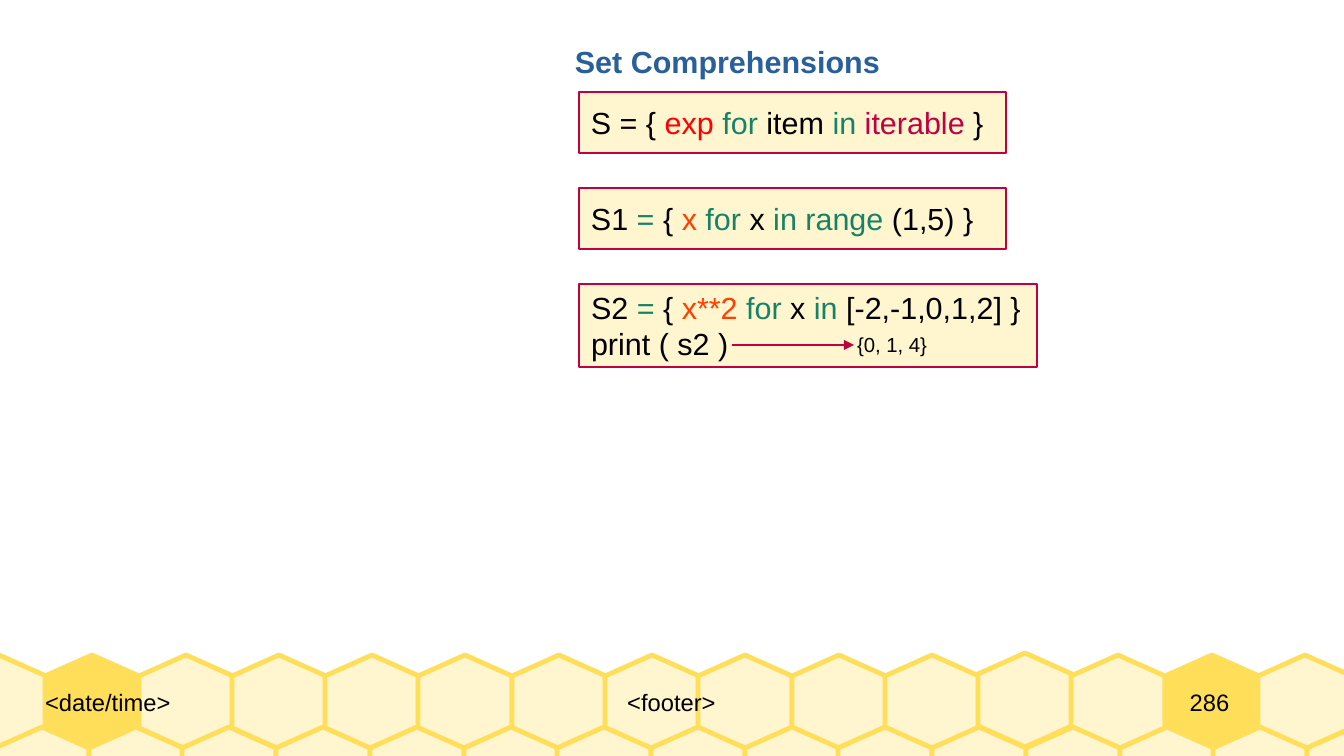
from lxml.etree import SubElement
from pptx import Presentation
from pptx.dml.color import RGBColor
from pptx.enum.shapes import MSO_CONNECTOR, MSO_SHAPE
from pptx.enum.text import MSO_ANCHOR, PP_ALIGN
from pptx.oxml.ns import qn
from pptx.util import Pt

# Content: each code line is a list of (text, colour role) runs
TITLE = "Set Comprehensions"
EXAMPLES = [
    {"width": 427, "height": 61, "lines": [
        [("S = { ", "text"), ("exp ", "exp"), ("for", "keyword"), (" item ", "text"),
         ("in ", "keyword"), ("iterable", "accent"), (" }", "text")]]},
    {"width": 427, "height": 61, "lines": [
        [("S1", "text"), (" = ", "keyword"), ("{ ", "text"), ("x", "value"),
         (" for", "keyword"), (" x ", "text"), ("in range", "keyword"),
         (" (1,5) }", "text")]]},
    {"width": 458, "height": 83, "lines": [
        [("S2", "text"), (" = ", "keyword"), ("{ ", "text"), ("x**2", "value"),
         (" for", "keyword"), (" x ", "text"), ("in ", "keyword"),
         ("[-2,-1,0,1,2] }", "text")],
        [("print ( s2 )", "text")]]},
]
RESULT = "{0, 1, 4}"
FOOTER = [
    ("<date/time>", 45, 321, PP_ALIGN.LEFT),
    ("<footer>", 366, 611, PP_ALIGN.CENTER),
    ("286", 1133, 153, PP_ALIGN.CENTER),
]

THEME = {
    "font": "Arial",
    "sizes": {"title": 18, "code": 18, "result": 12, "footer": 14},
    "lines": {"box": 1.42, "cell": 2.83},
    "colors": {"text": "000000", "title": "2A6099", "exp": "FF0000",
               "keyword": "158466", "accent": "BF0041", "value": "FF4000",
               "cream": "FFF5CE", "honey": "FFDE59"},
}

# Layout in px
PX = 914400 / 122
SLIDE = (1344, 756)
CELL = 94
SHOULDER = 21
CELLS_PER_ROW = 15
COMB_ROWS = [  # first left, last left, top, filled cells, raised cells
    (-48, 1258, 655, {1, 13}, {11}),
    (-5, 1307, 727, set(), set()),
]
RAISE = 2
BOX_LEFT, BOX_TOP, BOX_STEP = 579, 92, 96
ARROW = (732, 345, 854, 345)
PADDED = {"margin_left": 12, "margin_top": 6, "margin_right": 0, "margin_bottom": 6}
FLUSH = dict.fromkeys(PADDED, 0)


def emu(*lengths):
    return [round(length * PX) for length in lengths]


def color(role):
    return RGBColor.from_string(THEME["colors"][role])


def outline(line, role, weight):
    line.color.rgb = color(role)
    line.width = Pt(THEME["lines"][weight])


def paint(shape, fill, line, weight):
    shape.shadow.inherit = False
    shape.fill.solid()
    shape.fill.fore_color.rgb = color(fill)
    outline(shape.line, line, weight)


def write(shape, lines, size, margins=PADDED, anchor=MSO_ANCHOR.MIDDLE,
          align=PP_ALIGN.LEFT, bold=False):
    """Fill a shape with lines of (text, colour role) runs."""
    frame = shape.text_frame
    frame.word_wrap = True
    frame.vertical_anchor = anchor
    for side, length in margins.items():
        setattr(frame, side, emu(length)[0])
    font_format = {"name": THEME["font"], "size": Pt(THEME["sizes"][size]), "bold": bold}
    for index, runs in enumerate(lines):
        paragraph = frame.add_paragraph() if index else frame.paragraphs[0]
        paragraph.alignment = align
        for text, role in runs:
            run = paragraph.add_run()
            run.text = text
            for name, value in font_format.items():
                setattr(run.font, name, value)
            run.font.color.rgb = color(role)


def add_label(shapes, area, text, size, role="text", **options):
    write(shapes.add_textbox(*emu(*area)), [[(text, role)]], size, **options)


def add_cell(shapes, left, top, fill):
    """Draw one honeycomb hexagon with its point upwards."""
    middle, right = left + CELL // 2, left + CELL
    upper, lower, bottom = top + SHOULDER, top + CELL - SHOULDER, top + CELL
    builder = shapes.build_freeform(middle, top, scale=PX)
    builder.add_line_segments([(left, upper), (left, lower), (middle, bottom),
                               (right, lower), (right, upper)], close=True)
    paint(builder.convert_to_shape(), fill, "honey", "cell")


def add_honeycomb(shapes):
    for first, last, top, filled, raised in COMB_ROWS:
        for index in range(CELLS_PER_ROW):
            left = first + round((last - first) * index / (CELLS_PER_ROW - 1))
            add_cell(shapes, left, top - RAISE * (index in raised),
                     "honey" if index in filled else "cream")


def add_arrow(shapes):
    arrow = shapes.add_connector(MSO_CONNECTOR.STRAIGHT, *emu(*ARROW))
    outline(arrow.line, "accent", "box")
    properties = arrow._element.spPr
    SubElement(properties.find(qn("a:ln")), qn("a:tailEnd"), type="triangle")
    SubElement(properties, qn("a:effectLst"))


def main():
    deck = Presentation()
    deck.slide_width, deck.slide_height = emu(*SLIDE)
    shapes = deck.slides.add_slide(deck.slide_layouts[6]).shapes

    add_honeycomb(shapes)
    for text, left, width, align in FOOTER:
        add_label(shapes, (left, COMB_ROWS[0][2], width, CELL), text, "footer",
                  margins=FLUSH, align=align)

    add_label(shapes, (563, 37, 330, 46), TITLE, "title", "title",
              anchor=MSO_ANCHOR.TOP, bold=True)
    for index, example in enumerate(EXAMPLES):
        area = (BOX_LEFT, BOX_TOP + BOX_STEP * index, example["width"], example["height"])
        box = shapes.add_shape(MSO_SHAPE.RECTANGLE, *emu(*area))
        paint(box, "cream", "accent", "box")
        write(box, example["lines"], "code")
    add_arrow(shapes)
    add_label(shapes, (845, 326, 94, 35), RESULT, "result", anchor=MSO_ANCHOR.TOP)

    deck.save("out.pptx")


if __name__ == "__main__":
    main()
